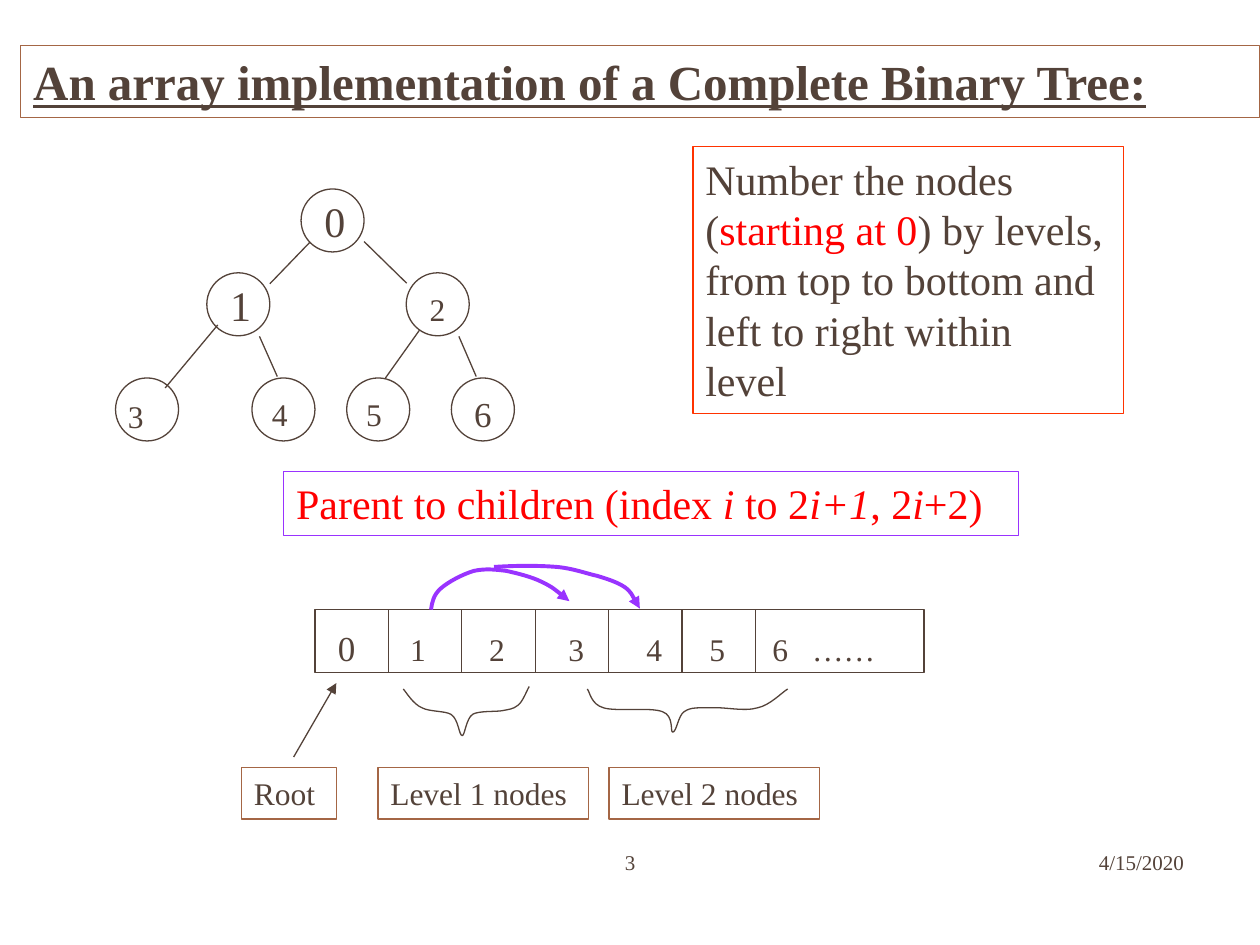
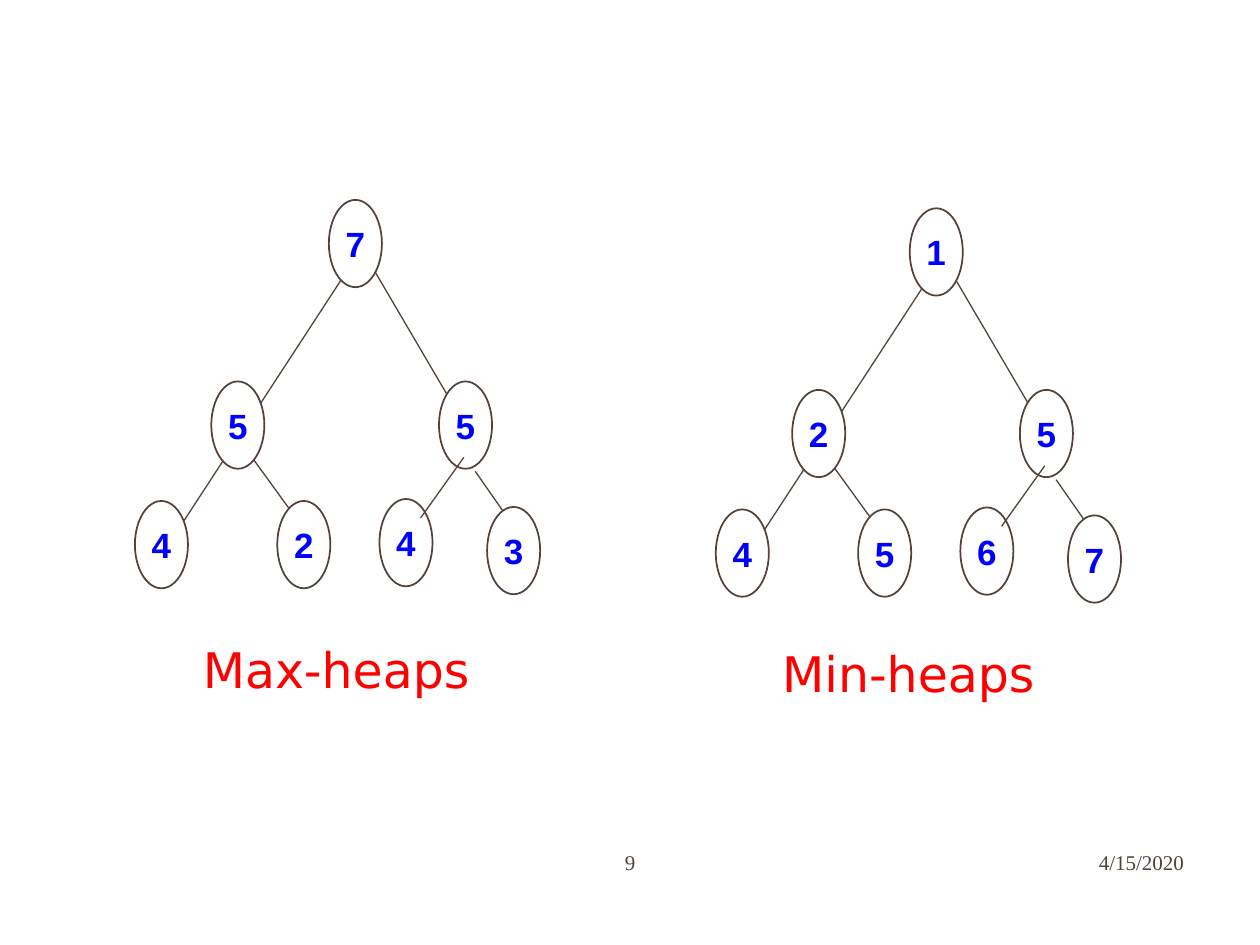
"""Build two slides on complete binary trees stored as arrays and on heaps."""
from lxml import etree
from pptx import Presentation
from pptx import util as u
from pptx.dml.color import RGBColor
from pptx.enum import shapes, text
from pptx.oxml.ns import qn

BROWN = RGBColor(0x53, 0x42, 0x39)
COPPER = RGBColor(0xA4, 0x66, 0x45)
ORANGE = RGBColor(0xFF, 0x33, 0x00)
PURPLE = RGBColor(0x99, 0x33, 0xFF)
RED = RGBColor(0xFF, 0x00, 0x00)
BLUE = RGBColor(0x00, 0x00, 0xFF)
WHITE = RGBColor(0xFF, 0xFF, 0xFF)
SERIF = "Times New Roman"
LEFT, CENTER, RIGHT = text.PP_ALIGN.LEFT, text.PP_ALIGN.CENTER, text.PP_ALIGN.RIGHT
TOP, MIDDLE = text.MSO_ANCHOR.TOP, text.MSO_ANCHOR.MIDDLE
RECTANGLE, OVAL = shapes.MSO_SHAPE.RECTANGLE, shapes.MSO_SHAPE.OVAL
STRAIGHT = shapes.MSO_CONNECTOR.STRAIGHT


def add_box(owner, place, runs, size=18, outline=None, kind=RECTANGLE, fill=None, weight=0.75,
            font=SERIF, bold=False, underline=False, align=LEFT, anchor=TOP, wrap=True, lead=0.1):
    """Add a text box, or an outlined shape, holding runs of (text, colour, italic)."""
    lengths = [u.Cm(value) for value in place]
    if outline is None:
        shape = owner.shapes.add_textbox(*lengths)
    else:
        shape = owner.shapes.add_shape(kind, *lengths)
        shape.shadow.inherit = False
        shape.line.color.rgb = outline
        shape.line.width = u.Pt(weight)
        if fill is None:
            shape.fill.background()
        else:
            shape.fill.solid()
            shape.fill.fore_color.rgb = fill
    frame = shape.text_frame
    frame.word_wrap = wrap
    frame.vertical_anchor = anchor
    paragraph = frame.paragraphs[0]
    paragraph.alignment = align
    paragraph.space_before = u.Pt(size * lead)
    for words, color, italic in runs:
        run = paragraph.add_run()
        run.text = words
        run.font.name = font
        run.font.size = u.Pt(size)
        run.font.bold = bold
        run.font.underline = underline
        run.font.italic = italic
        run.font.color.rgb = color
    return shape


def style_line(line_shape, color=BROWN, width=0.75, arrow=False):
    """Colour a connector or curve, drop its shadow and optionally add an arrowhead."""
    line_shape.line.color.rgb = color
    line_shape.line.width = u.Pt(width)
    properties = line_shape._element.spPr
    if arrow:
        etree.SubElement(properties.find(qn("a:ln")), qn("a:tailEnd"), type="triangle")
    etree.SubElement(properties, qn("a:effectLst"))


presentation = Presentation()
presentation.slide_width = u.Cm(25.4)
presentation.slide_height = u.Cm(19.05)
array_slide, heap_slide = [
    presentation.slides.add_slide(presentation.slide_layouts[6]) for _ in range(2)]

add_box(array_slide, (0.42, 0.92, 24.97, 1.45),
        [("An array implementation of a Complete Binary Tree:", BROWN, False)],
        size=28, outline=COPPER, bold=True, underline=True)

tree_nodes = [
    ("0", 6.07, 3.81, 6.29, 3.81, 24),
    ("1", 4.17, 5.5, 4.39, 5.51, 24),
    ("2", 8.19, 5.5, 8.41, 5.72, 18),
    ("3", 2.33, 7.62, 2.33, 7.87, 18),
    ("4", 5.08, 7.62, 5.23, 7.83, 18),
    ("5", 6.99, 7.62, 7.13, 7.83, 18),
    ("6", 9.1, 7.62, 9.31, 7.78, 20),
]
for label, left, top, label_left, label_top, size in tree_nodes:
    add_box(array_slide, (left, top, 1.27, 1.27), [], outline=BROWN, kind=OVAL)
    add_box(array_slide, (label_left, label_top, 1.27, 1.02), [(label, BROWN, False)], size)

tree_edges = [
    (6.25, 4.88, 5.44, 5.72), (4.39, 6.55, 3.33, 7.82), (5.23, 6.78, 5.59, 7.59),
    (7.34, 4.87, 8.20, 5.71), (8.46, 6.65, 7.77, 7.62), (9.25, 6.78, 9.60, 7.59),
]
array_dividers = [(6.35 + 1.48 * i, 12.29, 6.35 + 1.48 * i, 13.56) for i in range(1, 7)]

add_box(array_slide, (13.97, 2.96, 8.68, 5.38),
        [("Number the nodes (", BROWN, False), ("starting at 0", RED, False),
         (") by levels, from top to bottom and left to right within  level", BROWN, False)],
        size=24, outline=ORANGE)
add_box(array_slide, (5.72, 9.51, 14.81, 1.29),
        [("Parent to children (index ", RED, False), ("i", RED, True), (" to 2", RED, False),
         ("i+1", RED, True), (", 2", RED, False), ("i", RED, True), ("+2)", RED, False)],
        size=24, outline=PURPLE)

add_box(array_slide, (6.35, 12.29, 12.28, 1.27), [], outline=BROWN)
for line in tree_edges + array_dividers:
    style_line(array_slide.shapes.add_connector(STRAIGHT, *[u.Cm(value) for value in line]))
indices = add_box(array_slide, (6.56, 12.5, 11.86, 1.12),
                  [("0", BROWN, False), ("\t1\t2\t3\t4\t5\t6\t……", BROWN, False)])
paragraph = indices.text_frame.paragraphs[0]
paragraph.runs[0].font.size = u.Pt(20)
tab_list = etree.SubElement(paragraph._p.get_or_add_pPr(), qn("a:tabLst"))
for position in (1.46, 3.05, 4.65, 6.22, 7.49, 8.76, 9.56):
    etree.SubElement(tab_list, qn("a:tab"), pos=str(u.Cm(position)), algn="l")

level_1_brace = [
    (8.13, 13.89), (8.18, 13.94), (8.33, 14.20), (8.51, 14.27), (8.66, 14.35), (8.97, 14.33),
    (9.09, 14.40), (9.25, 14.50), (9.25, 14.83), (9.32, 14.83), (9.37, 14.83), (9.40, 14.48),
    (9.53, 14.40), (9.65, 14.33), (9.96, 14.35), (10.11, 14.33), (10.26, 14.30), (10.34, 14.30),
    (10.44, 14.22), (10.54, 14.15), (10.62, 13.92), (10.67, 13.84)]
level_2_brace = [
    (11.84, 13.89), (11.89, 13.94), (11.91, 14.20), (12.17, 14.27), (12.42, 14.35),
    (13.13, 14.25), (13.36, 14.35), (13.59, 14.43), (13.51, 14.76), (13.56, 14.76),
    (13.64, 14.76), (13.67, 14.43), (13.79, 14.35), (13.92, 14.25), (14.10, 14.27),
    (14.35, 14.27), (14.61, 14.25), (15.01, 14.35), (15.27, 14.27), (15.52, 14.22),
    (15.75, 13.97), (15.88, 13.89)]
left_child_arrow = [
    (8.69, 12.29), (8.71, 12.14), (8.74, 11.99), (8.89, 11.86), (9.04, 11.73), (9.32, 11.58),
    (9.55, 11.51), (9.78, 11.46), (9.98, 11.48), (10.21, 11.51), (10.44, 11.56), (10.72, 11.63),
    (10.92, 11.73), (11.15, 11.84), (11.38, 12.04), (11.48, 12.12)]
right_child_arrow = [
    (9.96, 11.43), (10.41, 11.40), (10.87, 11.40), (11.23, 11.43), (11.56, 11.46),
    (11.81, 11.56), (12.04, 11.61), (12.27, 11.68), (12.45, 11.74), (12.60, 11.84),
    (12.73, 11.94), (12.85, 12.19), (12.90, 12.27)]
for controls, color, width, arrow in [
        (level_1_brace, BROWN, 0.75, False), (level_2_brace, BROWN, 0.75, False),
        (left_child_arrow, PURPLE, 2.25, True), (right_child_arrow, PURPLE, 2.25, True)]:
    start, *others = [(u.Cm(x), u.Cm(y)) for x, y in controls]
    builder = array_slide.shapes.build_freeform(*start)
    builder.add_line_segments(others, close=False)
    curve = builder.convert_to_shape()
    curve.fill.background()
    style_line(curve, color, width, arrow)
    outline = next(curve._element.iter(qn("a:path")))
    segments = outline.findall(qn("a:lnTo"))
    for first in range(0, len(segments), 3):
        bezier = etree.SubElement(outline, qn("a:cubicBezTo"))
        for segment in segments[first:first + 3]:
            bezier.append(segment[0])
            outline.remove(segment)

root_arrow = [u.Cm(value) for value in (5.92, 15.26, 6.78, 13.77)]
style_line(array_slide.shapes.add_connector(STRAIGHT, *root_arrow), arrow=True)
for label, left, width in [("Root", 4.87, 1.91), ("Level 1 nodes", 7.62, 4.24),
                           ("Level 2 nodes", 12.28, 4.24)]:
    add_box(array_slide, (left, 15.47, width, 1.04), [(label, BROWN, False)], outline=COPPER)

heap_nodes = [(2.72, 10.1), (4.26, 7.69), (8.85, 7.69), (5.59, 10.1), (7.65, 10.06),
              (9.82, 10.22), (6.63, 4.03)]
edges_behind = [(5.08, 9.22, 5.87, 10.31), (3.10, 11.43, 7.44, 4.78), (9.35, 8.53, 6.91, 4.37)]
edges_in_front = [(9.35, 9.22, 8.48, 10.44), (9.58, 9.50, 10.36, 10.62)]
for caption, caption_place, values, shift_x, shift_y in [
        ("Max-heaps", (3.84, 12.77, 5.97, 1.45), "4552437", 0, 0),
        ("Min-heaps", (15.52, 12.85, 5.66, 1.45), "4255671", 11.71, 0.17)]:
    heap = heap_slide.shapes.add_group_shape()
    nodes = list(zip(heap_nodes, values))
    for edges, layer_nodes in [(edges_behind, nodes[:5]), (edges_in_front, nodes[5:])]:
        for x1, y1, x2, y2 in edges:
            style_line(heap.shapes.add_connector(
                STRAIGHT, u.Cm(x1 + shift_x), u.Cm(y1 + shift_y),
                u.Cm(x2 + shift_x), u.Cm(y2 + shift_y)))
        for (left, top), value in layer_nodes:
            add_box(heap, (left + shift_x, top + shift_y, 1.07, 1.76), [(value, BLUE, False)],
                    size=20, outline=BROWN, kind=OVAL, fill=WHITE, weight=1, font="Arial",
                    bold=True, align=CENTER, anchor=MIDDLE, wrap=False, lead=0)
    add_box(heap_slide, caption_place, [(caption, RED, False)], size=28,
            font="DejaVu Sans", wrap=False, lead=0)

for slide, number in [(array_slide, "3"), (heap_slide, "9")]:
    for words, left, width, align in [("4/15/2020", 18.2, 5.92, RIGHT),
                                      (number, 12.07, 1.27, CENTER)]:
        add_box(slide, (left, 17.01, width, 0.76), [(words, BROWN, False)], size=12,
                align=align, anchor=MIDDLE, lead=0)

presentation.save("out.pptx")
